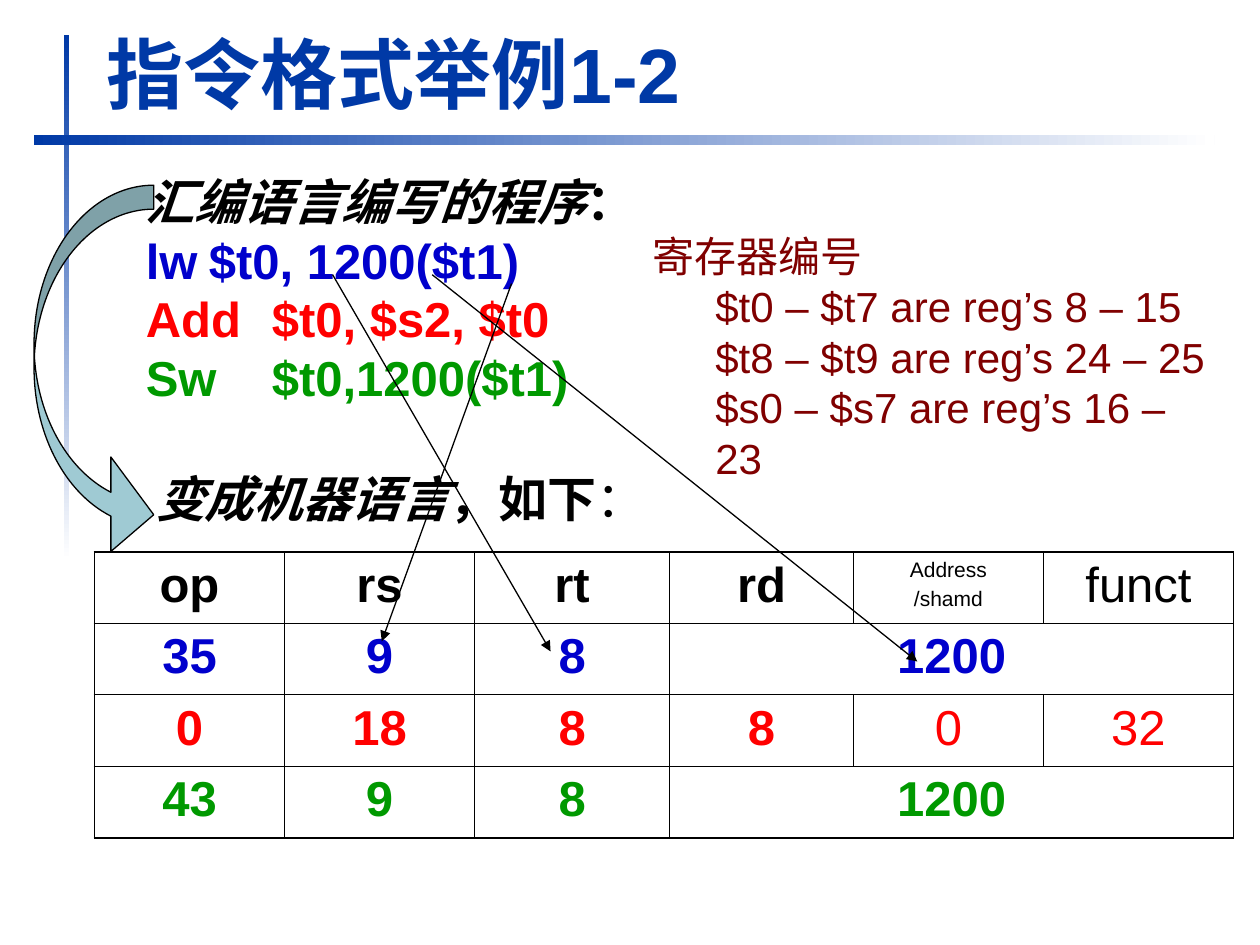
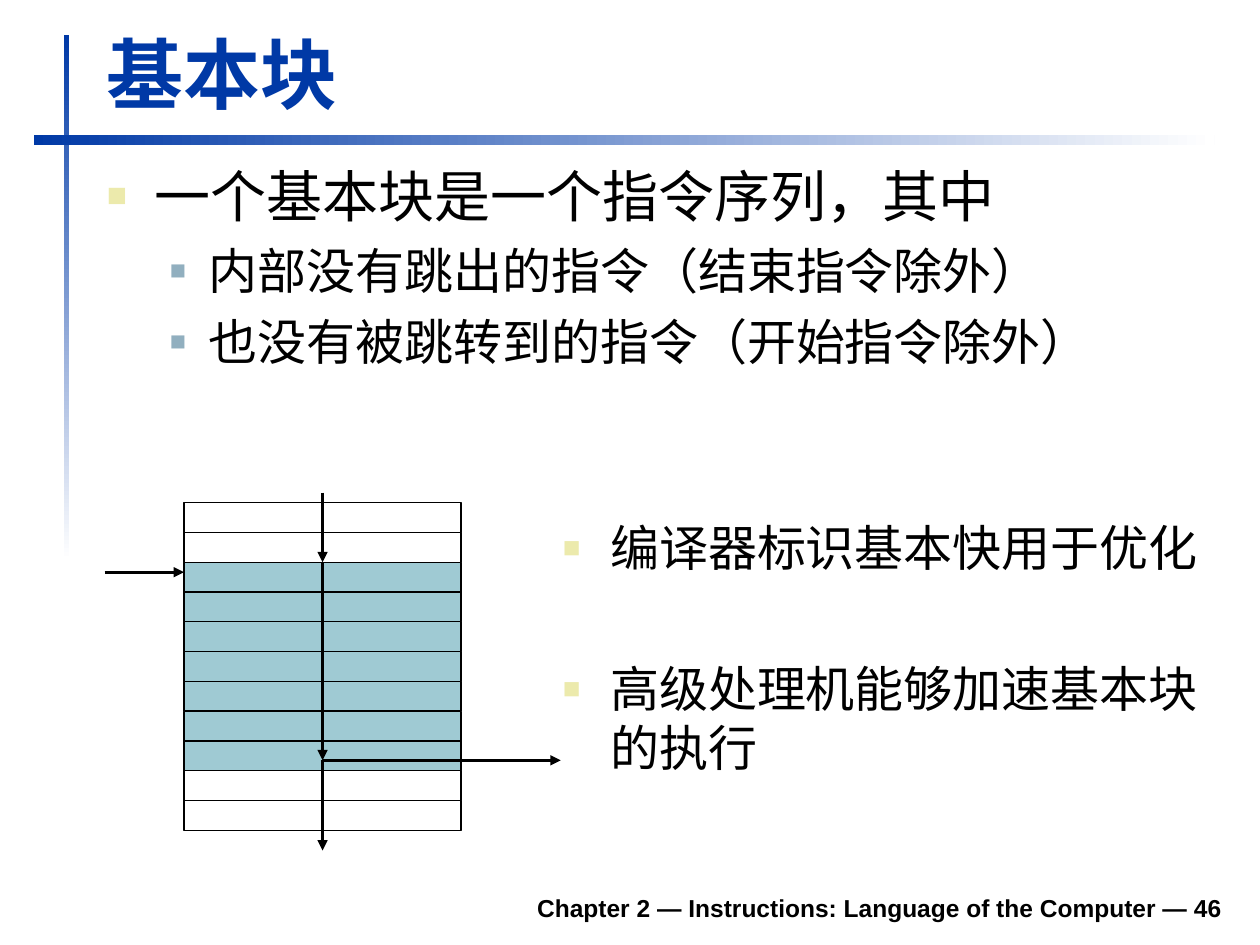
from collections import namedtuple

from lxml import etree
from pptx import Presentation
from pptx.dml.color import RGBColor
from pptx.enum.shapes import MSO_CONNECTOR, MSO_SHAPE
from pptx.enum.text import MSO_ANCHOR, PP_ALIGN
from pptx.oxml.ns import qn
from pptx.util import Inches, Pt

RECTANGLE, CURVED_ARROW = MSO_SHAPE.RECTANGLE, MSO_SHAPE.CURVED_RIGHT_ARROW
STRAIGHT = MSO_CONNECTOR.STRAIGHT
TOP, BOTTOM = MSO_ANCHOR.TOP, MSO_ANCHOR.BOTTOM
LEFT, CENTER, RIGHT = PP_ALIGN.LEFT, PP_ALIGN.CENTER, PP_ALIGN.RIGHT

# Grid of 100 columns and 75 rows; every length below is counted in its cells
COLUMNS, ROWS = 100, 75
CELL = Inches(0.1)
Box = namedtuple("Box", "left top width height")

FONT = "Arial"
NAVY, WHITE, BLACK = "0039A6", "FFFFFF", "000000"
BLUE, RED, GREEN, MAROON = "0000CC", "FF0000", "009900", "800000"
TEAL, SAND, STEEL = "9FCAD3", "ECEAAC", "91AFBF"


def rgb(color):
    return RGBColor.from_string(color)


def grid(*lengths):
    return [round(length * CELL) for length in lengths]


# ---- Text ----
def add_bullet(properties, color, percent):
    bullet_color = etree.SubElement(properties, qn("a:buClr"))
    etree.SubElement(bullet_color, qn("a:srgbClr"), val=color)
    etree.SubElement(properties, qn("a:buSzPct"), val=str(percent * 1000))
    etree.SubElement(properties, qn("a:buFont"), typeface=FONT)
    etree.SubElement(properties, qn("a:buChar"), char="■")


def write(paragraph, text, size=28, color=BLACK, bold=False, italic="", align=LEFT,
          before=0, margin=0, hanging=0, bullet=None, tab=None):
    """Write an italic lead followed by upright text."""
    properties = paragraph._p.get_or_add_pPr()
    properties.set("marL", str(grid(margin)[0]))
    properties.set("indent", str(-grid(hanging)[0]))
    if bullet:
        add_bullet(properties, *bullet)
    if tab:
        stops = etree.SubElement(properties, qn("a:tabLst"))
        etree.SubElement(stops, qn("a:tab"), pos=str(grid(tab)[0]), algn="l")
    paragraph.alignment = align
    paragraph.space_before = Pt(before)
    for part, slanted in ((italic, True), (text, False)):
        if part:
            run = paragraph.add_run()
            run.text = part
            font = run.font
            font.name, font.size, font.bold, font.italic = FONT, Pt(size), bold, slanted
            font.color.rgb = rgb(color)


def fill_frame(frame, lines):
    """Each line is a dictionary of arguments for write()."""
    for index, line in enumerate(lines):
        write(frame.add_paragraph() if index else frame.paragraphs[0], **line)


def add_text(slide, box, *lines, anchor=TOP):
    frame = slide.shapes.add_textbox(*grid(*box)).text_frame
    frame.word_wrap = True
    frame.vertical_anchor = anchor
    fill_frame(frame, lines)
    return frame


# ---- Shapes and arrows ----
def add_block(slide, box, kind=RECTANGLE, fill=None):
    shape = slide.shapes.add_shape(kind, *grid(*box))
    shape.shadow.inherit = False
    if fill:
        shape.fill.solid()
        shape.fill.fore_color.rgb = rgb(fill)
    else:
        shape.fill.background()
    shape.line.color.rgb = rgb(BLACK)
    shape.line.width = Pt(0.75)
    return shape


def add_arrow(slide, start, end, weight, start_block=None, end_block=None):
    """Blocks, when given, are joined at the middle of their top side."""
    arrow = slide.shapes.add_connector(STRAIGHT, *grid(*start, *end))
    if start_block:
        arrow.begin_connect(start_block, 0)
    if end_block:
        arrow.end_connect(end_block, 0)
    arrow.line.color.rgb = rgb(BLACK)
    arrow.line.width = Pt(weight)
    etree.SubElement(arrow.line._get_or_add_ln(), qn("a:tailEnd"), type="triangle")
    etree.SubElement(arrow._element.spPr, qn("a:effectLst"))


# ---- Shared frame of every slide ----
def add_fading_bar(slide, box, angle):
    bar = add_block(slide, box)
    bar.line.fill.background()
    bar.fill.gradient()
    bar.fill.gradient_angle = angle
    for stop, color in zip(bar.fill.gradient_stops, (NAVY, WHITE)):
        stop.color.rgb = rgb(color)


def new_slide(presentation, title):
    slide = presentation.slides.add_slide(presentation.slide_layouts[6])
    add_fading_bar(slide, Box(5.1, 2.8, 0.4, 41.7), 270)
    add_fading_bar(slide, Box(2.7, 10.7, 93.7, 0.8), 0)
    add_text(slide, Box(7.5, 1.6, 90.3, 8.3),
             dict(text=title, size=44, color=NAVY, bold=True), anchor=BOTTOM)
    return slide


def add_footer(slide, box, text):
    add_text(slide, box, dict(text=text, size=14, bold=True, align=RIGHT), anchor=BOTTOM)


# ---- Instruction format slide ----
def set_borders(cell, row, column, last_row, last_column):
    properties = cell._tc.get_or_add_tcPr()
    edges = (("lnL", column == 0), ("lnR", column == last_column),
             ("lnT", row == 0), ("lnB", row == last_row))
    for position, (tag, outer) in enumerate(edges):
        line = etree.Element(qn(f"a:{tag}"), w=str(Pt(1.08 if outer else 0.45)))
        solid = etree.SubElement(line, qn("a:solidFill"))
        etree.SubElement(solid, qn("a:srgbClr"), val=BLACK)
        properties.insert(position, line)


def add_machine_code(slide, box):
    widths = (15.1, 15.1, 15.5, 14.6, 15.1, 15.1)
    rows = (
        (BLACK, ("op", "rs", "rt", "rd", "Address\n/shamd", "funct")),
        (BLUE, ("35", "9", "8", "1200")),
        (RED, ("0", "18", "8", "8", "0", "32")),
        (GREEN, ("43", "9", "8", "1200")),
    )
    table = slide.shapes.add_table(len(rows), len(widths), *grid(*box)).table
    table.first_row = table.horz_banding = False
    for column, width in zip(table.columns, widths):
        column.width = grid(width * box.width / sum(widths))[0]
    for row, (color, texts) in enumerate(rows):
        table.rows[row].height = grid(box.height / len(rows))[0]
        for column in range(len(widths)):
            cell = table.cell(row, column)
            cell.fill.background()
            set_borders(cell, row, column, len(rows) - 1, len(widths) - 1)
            if column < len(texts):
                parts = texts[column].split("\n")
                fill_frame(cell.text_frame, [
                    dict(text=part, color=color, align=CENTER, bold=column < 4,
                         size=12 if len(parts) > 1 else 28, before=3 if index else 0)
                    for index, part in enumerate(parts)])
        if len(texts) < len(widths):
            table.cell(row, len(texts) - 1).merge(table.cell(row, len(widths) - 1))


def add_assembly_program(slide, box):
    code = (("lw\t$t0, 1200($t1)", BLUE), ("Add\t$t0, $s2, $t0", RED),
            ("Sw\t$t0,1200($t1)", GREEN))
    add_text(slide, box, dict(italic="汇编语言编写的程序", text="：", bold=True),
             *(dict(text=text, color=color, bold=True, tab=9.7) for text, color in code))


def add_register_numbers(slide, box):
    ranges = ("$t0 – $t7 are reg’s 8 – 15", "$t8 – $t9 are reg’s 24 – 25",
              "$s0 – $s7 are reg’s 16 – 23")
    add_text(slide, box, dict(text="寄存器编号", size=24, color=MAROON),
             *(dict(text=text, size=24, color=MAROON, margin=5) for text in ranges))


def add_translation_arrow(slide, box):
    arrow = add_block(slide, box, CURVED_ARROW, TEAL)
    for index, (name, length) in enumerate((("shaft", 1.9), ("head width", 7.5),
                                            ("head length", 3.4))):
        arrow.adjustments[index] = length / box.width


def build_format_slide(presentation):
    slide = new_slide(presentation, "指令格式举例1-2")
    add_machine_code(slide, Box(7.5, 43.8, 90.4, 22.7))
    add_assembly_program(slide, Box(10.6, 13.1, 44.3, 19.7))
    heading = add_text(slide, Box(11.4, 36.7, 41.7, 5.7),
                       dict(italic="变成机器语言", text="，如下", bold=True))
    colon = heading.paragraphs[0]
    write(colon, "：")
    add_translation_arrow(slide, Box(2.7, 14.7, 9.5, 29.9))
    add_register_numbers(slide, Box(50.8, 17.8, 47.3, 27.1))
    # Operands to their fields
    for operand, field in (((26.4, 21.8), (43.7, 51.7)), ((40.6, 22.5), (30.3, 50.9)),
                           ((34.3, 21.8), (72.8, 52.5))):
        add_arrow(slide, operand, field, 0.75)


# ---- Basic block slide ----
def add_block_diagram(slide, box):
    """Stack of instructions; rows 2 to 8 form the basic block."""
    count, first, last = 11, 2, 8
    step = box.height / count
    blocks = [add_block(slide, Box(box.left, box.top + index * step, box.width, step),
                        fill=TEAL if first <= index <= last else None)
              for index in range(count)]
    middle = box.left + box.width / 2
    entry = (middle, box.top + first * step)
    leave = (middle, box.top + (last + 0.65) * step)
    side = entry[1] + step / 3
    add_arrow(slide, (middle, box.top - 0.8), entry, 1.5, end_block=blocks[first])
    add_arrow(slide, entry, leave, 1.5, start_block=blocks[first])
    add_arrow(slide, leave, (middle, box.top + box.height + 1.6), 1.5)
    add_arrow(slide, leave, (box.left + box.width + 7.9, leave[1]), 1.5)
    add_arrow(slide, (box.left - 6.3, side), (box.left, side), 1.5)


def add_definition(slide, box):
    conditions = ("内部没有跳出的指令（结束指令除外）", "也没有被跳转到的指令（开始指令除外）")
    add_text(slide, box,
             dict(text="一个基本块是一个指令序列，其中", size=32, margin=3.75, hanging=3.75,
                  bullet=(SAND, 60)),
             *(dict(text=text, before=7, margin=8.1, hanging=3.1, bullet=(STEEL, 55))
               for text in conditions))


def add_uses(slide, box):
    uses = (("编译器标识基本快用于优化", 0), ("高级处理机能够加速基本块的执行", 47))
    add_text(slide, box, *(dict(text=text, before=before, margin=3.75, hanging=3.75,
                                bullet=(SAND, 60)) for text, before in uses))


def build_basic_block_slide(presentation):
    slide = new_slide(presentation, "基本块")
    add_footer(slide, Box(18.5, 69.8, 79.5, 3.9),
               "Chapter 2 — Instructions: Language of the Computer — 46")
    add_definition(slide, Box(7.5, 12.3, 90.4, 25.2))
    add_block_diagram(slide, Box(14.6, 39.9, 22, 26))
    add_uses(slide, Box(43.7, 40.6, 53.4, 22.8))


def main():
    presentation = Presentation()
    presentation.slide_width, presentation.slide_height = grid(COLUMNS, ROWS)
    build_format_slide(presentation)
    build_basic_block_slide(presentation)
    presentation.save("out.pptx")


if __name__ == "__main__":
    main()
